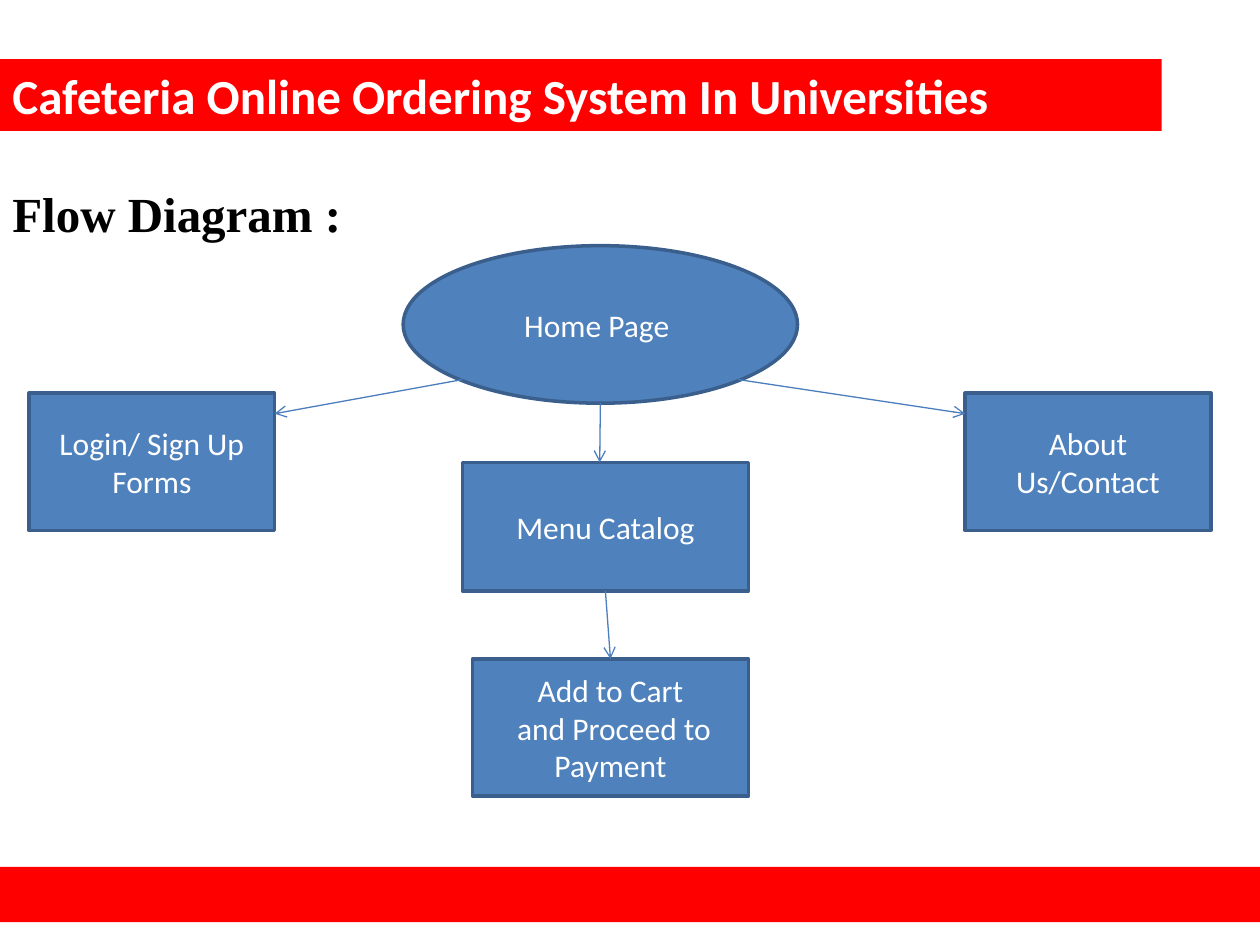
from dataclasses import dataclass

from lxml import etree
from pptx import Presentation
from pptx.dml.color import RGBColor
from pptx.enum.shapes import MSO_CONNECTOR, MSO_SHAPE
from pptx.enum.text import MSO_ANCHOR, PP_ALIGN
from pptx.oxml.ns import qn
from pptx.util import Inches, Pt

RECT, OVAL = MSO_SHAPE.RECTANGLE, MSO_SHAPE.OVAL
STRAIGHT = MSO_CONNECTOR.STRAIGHT
LEFT, CENTER = PP_ALIGN.LEFT, PP_ALIGN.CENTER
TOP, MIDDLE = MSO_ANCHOR.TOP, MSO_ANCHOR.MIDDLE
WIDTH, HEIGHT = Inches(10), Inches(7.5)


@dataclass(frozen=True)
class Theme:
    """Colours, fonts and sizes of the slide."""
    band: str = "FF0000"
    paper: str = "FFFFFF"
    ink: str = "000000"
    node: str = "4F81BD"
    border: str = "3A5F8C"
    arrow: str = "4B7EBC"
    sans: str = "Calibri"
    serif: str = "Times New Roman"
    heading: float = 28
    label: float = 18
    border_width: float = 2
    arrow_width: float = 0.75


THEME = Theme()

NODES = {
    "home": (OVAL, (32, 26, 31.3, 16.67), ["Home Page "]),
    "menu": (RECT, (36.7, 48.93, 22.7, 13.6), ["Menu Catalog"]),
    "login": (RECT, (2.3, 41.6, 19.5, 14.53), ["Login/ Sign Up Forms"]),
    "about": (RECT, (76.6, 41.6, 19.5, 14.53), ["About Us/Contact"]),
    "cart": (RECT, (37.5, 69.73, 21.9, 14.53),
             ["Add to Cart", " and Proceed to Payment"]),
}

LINKS = [
    ("home", (0.5, 1), "menu", (0.48, 0)),
    ("home", (0.15, 0.85), "login", (1, 0.15)),
    ("home", (0.85, 0.85), "about", (0, 0.15)),
    ("menu", (0.5, 1), "cart", (0.5, 0)),
]


def across(share):
    """Turn a percentage of the slide width into a length."""
    return round(WIDTH * share / 100)


def down(share):
    """Turn a percentage of the slide height into a length."""
    return round(HEIGHT * share / 100)


def add_box(slide, kind, area, fill):
    """Add a borderless filled shape at an area given in percentages."""
    x, y, w, h = area
    s = slide.shapes.add_shape(kind, across(x), down(y), across(w), down(h))
    s.shadow.inherit = False
    s.fill.solid()
    s.fill.fore_color.rgb = RGBColor.from_string(fill)
    s.line.fill.background()
    return s


def write(s, lines, align, anchor, color, **font):
    """Write one paragraph per line with shared font values."""
    tf = s.text_frame
    tf.word_wrap = True
    tf.vertical_anchor = anchor
    for i, line in enumerate(lines):
        p = tf.add_paragraph() if i else tf.paragraphs[0]
        p.alignment = align
        r = p.add_run()
        r.text = line
        r.font.color.rgb = RGBColor.from_string(color)
        for name, value in font.items():
            setattr(r.font, name, value)


def add_heading(slide, area, text, fill, color, font):
    """Add a bold heading on a filled band."""
    s = add_box(slide, RECT, area, fill)
    write(s, [text], LEFT, TOP, color, name=font, size=Pt(THEME.heading), bold=True)


def add_node(slide, kind, area, lines):
    """Add a bordered and labelled step of the flow."""
    s = add_box(slide, kind, area, THEME.node)
    s.line.color.rgb = RGBColor.from_string(THEME.border)
    s.line.width = Pt(THEME.border_width)
    write(s, lines, CENTER, MIDDLE, THEME.paper, name=THEME.sans, size=Pt(THEME.label))
    return s


def anchor_point(s, spot):
    """Return the point at the given shares of a shape's width and height."""
    return round(s.left + s.width * spot[0]), round(s.top + s.height * spot[1])


def add_arrow(slide, start, end):
    """Draw a thin line with an open arrowhead at its end."""
    c = slide.shapes.add_connector(STRAIGHT, *start, *end)
    c.line.color.rgb = RGBColor.from_string(THEME.arrow)
    c.line.width = Pt(THEME.arrow_width)
    etree.SubElement(c.line._get_or_add_ln(), qn("a:tailEnd"), type="arrow")
    etree.SubElement(c._element.spPr, qn("a:effectLst"))


def main():
    """Build the flow diagram slide."""
    prs = Presentation()
    prs.slide_width, prs.slide_height = WIDTH, HEIGHT
    slide = prs.slides.add_slide(prs.slide_layouts[6])
    add_box(slide, RECT, (0, 91.73, 100, 5.87), THEME.band)
    add_heading(slide, (0, 6.27, 92.2, 7.6),
                "Cafeteria Online Ordering System In Universities",
                THEME.band, THEME.paper, THEME.sans)
    nodes = {key: add_node(slide, *node) for key, node in NODES.items()}
    for source, leave, target, arrive in LINKS:
        add_arrow(slide, anchor_point(nodes[source], leave),
                  anchor_point(nodes[target], arrive))
    add_heading(slide, (0, 18.8, 28.9, 7.6), "Flow Diagram :",
                THEME.paper, THEME.ink, THEME.serif)
    prs.save("out.pptx")


if __name__ == "__main__":
    main()
